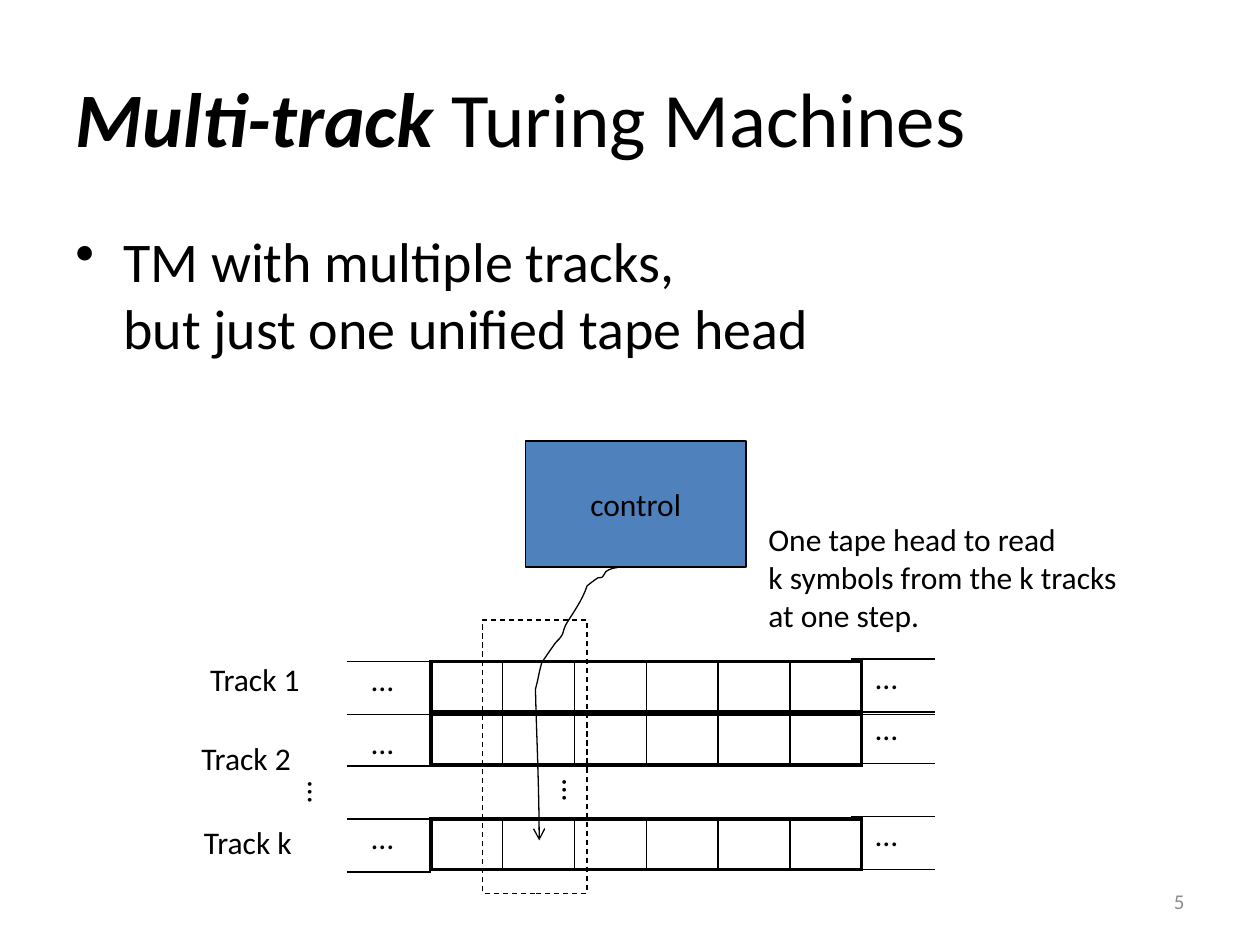
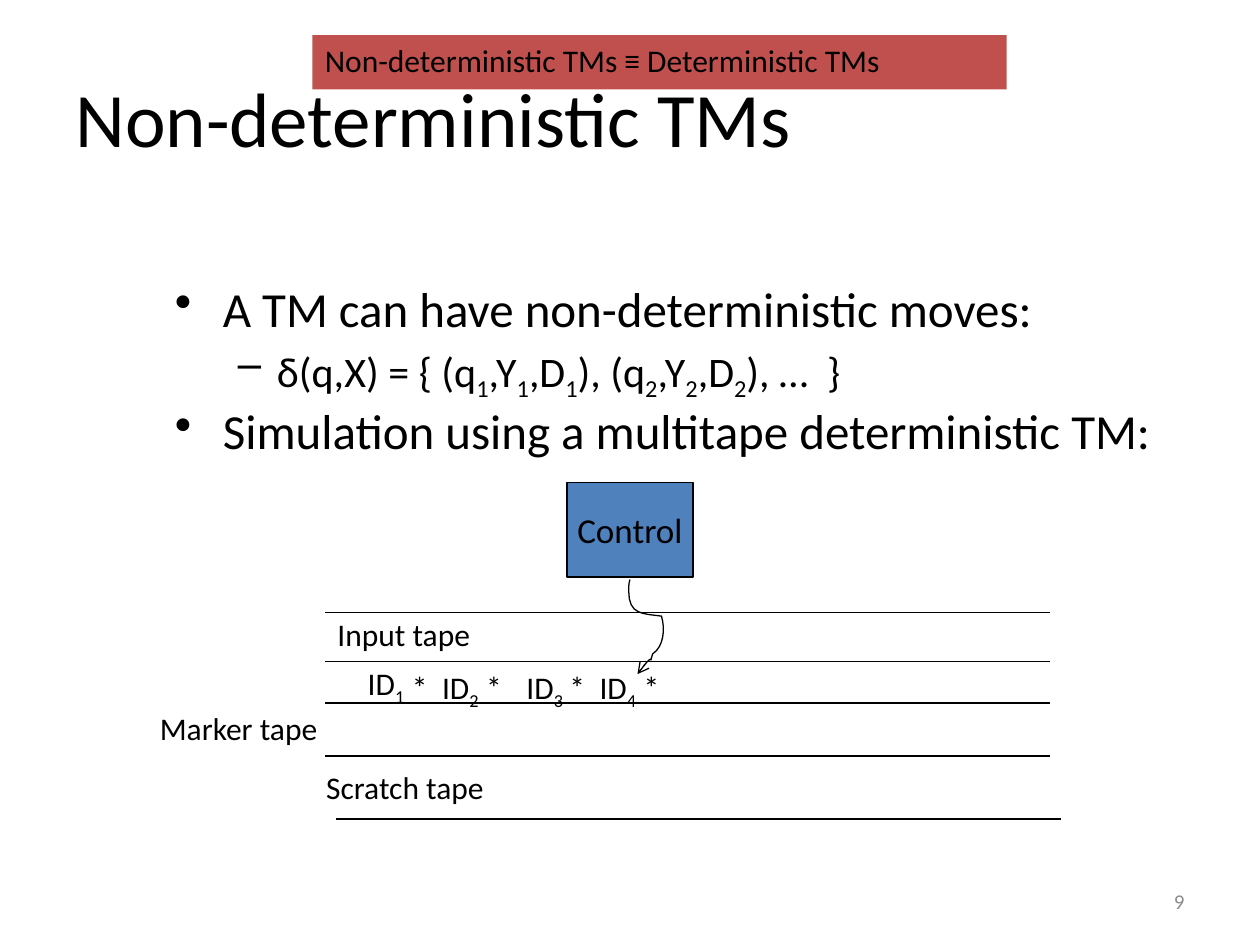
from lxml.etree import SubElement
from pptx import Presentation
from pptx.dml.color import RGBColor
from pptx.enum.dml import MSO_LINE
from pptx.enum.shapes import MSO_CONNECTOR, MSO_SHAPE
from pptx.enum.text import MSO_ANCHOR, MSO_AUTO_SIZE, PP_ALIGN
from pptx.oxml.ns import qn
from pptx.util import Inches, Pt

FONT = "Calibri"
BLACK, GRAY, BLUE, RED = "000000", "8C8C8C", "4F81BD", "C0504D"
THIN, INNER, OUTER = 0.75, 1, 2.25


def color(hex_text):
    """Turn a hex string into a colour."""
    return RGBColor.from_string(hex_text)


def inches(*lengths):
    """Convert several lengths at once."""
    return [Inches(length) for length in lengths]


def style(paragraph, size, ink=BLACK, align=PP_ALIGN.LEFT):
    """Set the font and alignment of a paragraph."""
    paragraph.alignment = align
    paragraph.font.name = FONT
    paragraph.font.size = Pt(size)
    paragraph.font.color.rgb = color(ink)


def write(paragraph, text):
    """Write text in which _ lowers the next character and a newline breaks the line."""
    for number, line in enumerate(text.split("\n")):
        if number:
            paragraph.add_line_break()
        plain, *lowered = line.split("_")
        if plain:
            paragraph.add_run().text = plain
        for piece in lowered:
            subscript = paragraph.add_run()
            subscript.text = piece[0]
            subscript._r.get_or_add_rPr().set("baseline", "-25000")
            if piece[1:]:
                paragraph.add_run().text = piece[1:]


def label(slide, box, text, size=18, rotation=0):
    """Place a text box that grows with its unwrapped text."""
    note = slide.shapes.add_textbox(*inches(*box))
    note.rotation = rotation
    frame = note.text_frame
    frame.word_wrap = False
    frame.auto_size = MSO_AUTO_SIZE.SHAPE_TO_FIT_TEXT
    write(frame.paragraphs[0], text)
    style(frame.paragraphs[0], size)


def ellipsis(slide, left, top, rotation=0):
    """Place three dots, upright when rotated."""
    label(slide, (left, top, 0.48, 0.43), "…", rotation=rotation)


def rectangle(slide, box, fill=None, outlined=True):
    """Draw a flat rectangle."""
    panel = slide.shapes.add_shape(MSO_SHAPE.RECTANGLE, *inches(*box))
    panel.shadow.inherit = False
    if fill:
        panel.fill.solid()
        panel.fill.fore_color.rgb = color(fill)
    else:
        panel.fill.background()
    if outlined:
        panel.line.color.rgb = color(BLACK)
        panel.line.width = Pt(THIN)
    else:
        panel.line.fill.background()
    return panel


def control_unit(slide, box, text, size):
    """Draw the blue control box with its centred name."""
    frame = rectangle(slide, box, BLUE).text_frame
    frame.word_wrap = False
    frame.vertical_anchor = MSO_ANCHOR.MIDDLE
    write(frame.paragraphs[0], text)
    style(frame.paragraphs[0], size, align=PP_ALIGN.CENTER)


def rule(slide, left, top, width):
    """Draw a thin horizontal line."""
    edge = slide.shapes.add_connector(
        MSO_CONNECTOR.STRAIGHT, *inches(left, top, left + width, top))
    edge.line.color.rgb = color(BLACK)
    edge.line.width = Pt(THIN)
    SubElement(edge._element.spPr, qn("a:effectLst"))


def bezier(start, first, second, end, steps=8):
    """Return points along one cubic curve, without its start."""
    points = []
    for step in range(1, steps + 1):
        t = step / steps
        weights = ((1 - t) ** 3, 3 * t * (1 - t) ** 2, 3 * t * t * (1 - t), t ** 3)
        points.append(tuple(
            Inches(sum(w * v for w, v in zip(weights, values)))
            for values in zip(start, first, second, end)))
    return points


def tape_head(slide, start, curves):
    """Draw the winding arrow from the control to the tape."""
    builder = slide.shapes.build_freeform(*inches(*start))
    for first, second, end in curves:
        builder.add_line_segments(bezier(start, first, second, end), close=False)
        start = end
    arrow = builder.convert_to_shape()
    arrow.shadow.inherit = False
    arrow.fill.background()
    arrow.line.color.rgb = color(BLACK)
    arrow.line.width = Pt(THIN)
    SubElement(arrow.line._get_or_add_ln(), qn("a:tailEnd"), type="arrow")


def border(cell, side, width):
    """Draw one side of a table cell."""
    properties = cell._tc.get_or_add_tcPr()
    edge = SubElement(properties, qn("a:ln" + side), w=str(Pt(width)))
    fill = SubElement(edge, qn("a:solidFill"))
    SubElement(fill, qn("a:srgbClr"), val=BLACK)


def track_cells(slide, left, top, width=3.42, height=0.4, count=6):
    """Draw one track as a row of empty cells."""
    table = slide.shapes.add_table(1, count, *inches(left, top, width, height)).table
    table.first_row = table.horz_banding = False
    for index in range(count):
        table.columns[index].width = Inches(width / count)
        cell = table.cell(0, index)
        border(cell, "L", OUTER if index == 0 else INNER)
        border(cell, "R", OUTER if index == count - 1 else INNER)
        border(cell, "T", OUTER)
        border(cell, "B", OUTER)
        cell.fill.background()
        style(cell.text_frame.paragraphs[0], 18)


def track(slide, left, top, left_rules, right_rules, dots):
    """Draw a track whose edges run on at both sides."""
    track_cells(slide, left, top)
    for offset in left_rules:
        rule(slide, left - 0.67, top + offset, 0.67)
    for offset in right_rules:
        rule(slide, left + 3.33, top + offset, 0.67)
    for shift, offset in zip((-0.57, 3.43), dots):
        ellipsis(slide, left + shift, top + offset)


def title(slide, text, emphasis=""):
    """Place the slide title, its first words bold italic if given."""
    frame = slide.shapes.add_textbox(*inches(0.5, 0.3, 9, 1.25)).text_frame
    frame.word_wrap = True
    frame.vertical_anchor = MSO_ANCHOR.MIDDLE
    heading = frame.paragraphs[0]
    if emphasis:
        strong = heading.add_run()
        strong.text = emphasis
        strong.font.bold = strong.font.italic = True
    write(heading, text)
    style(heading, 44)


def page_number(slide, number):
    """Place the gray number at the bottom right."""
    frame = slide.shapes.add_textbox(*inches(7.17, 6.95, 2.33, 0.4)).text_frame
    frame.word_wrap = True
    frame.vertical_anchor = MSO_ANCHOR.MIDDLE
    write(frame.paragraphs[0], str(number))
    style(frame.paragraphs[0], 12, GRAY, PP_ALIGN.RIGHT)


def bullets(slide, box, items, spacing=1.0):
    """Place bulleted text from (level, size, text) items."""
    frame = slide.shapes.add_textbox(*inches(*box)).text_frame
    frame.word_wrap = True
    for number, (level, size, text) in enumerate(items):
        item = frame.add_paragraph() if number else frame.paragraphs[0]
        margin, hang, mark = ((0.38, 0.38, "•"), (0.81, 0.31, "–"))[level]
        item.level = level
        properties = item._p.get_or_add_pPr()
        properties.set("marL", str(Inches(margin)))
        properties.set("indent", str(-Inches(hang)))
        SubElement(properties, qn("a:buChar"), char=mark)
        item.line_spacing = spacing
        item.space_before = Pt(0.2 * size)
        write(item, text)
        style(item, size)


def track_diagram(slide, left, top):
    """Draw the control, the tracks and the head that reads them all."""
    control_unit(slide, (left + 0.75, top, 1.75, 1), "control", 18)
    track(slide, left, top + 1.75, [0], [-0.02, 0.4], (-0.06, -0.08))
    track(slide, left, top + 2.17, [0, 0.41], [0, 0.39], (0.02, -0.09))
    track(slide, left, top + 3, [0, 0.42], [-0.02, 0.4], (-0.06, -0.08))
    tape_head(slide, (left + 1.5, top + 1), [
        [(left + x, top + y) for x, y in curve] for curve in (
            ((1.46, 1.01), (1.43, 1.01), (1.4, 1.03)),
            ((1.38, 1.04), (1.38, 1.06), (1.36, 1.08)),
            ((1.35, 1.09), (1.33, 1.08), (1.32, 1.09)),
            ((1.29, 1.11), (1.24, 1.15), (1.24, 1.15)),
            ((1.2, 1.27), (1.13, 1.36), (1.07, 1.46)),
            ((1.04, 1.53), (1.06, 1.52), (1.02, 1.57)),
            ((1, 1.59), (0.98, 1.61), (0.97, 1.63)),
            ((0.94, 1.67), (0.88, 1.76), (0.88, 1.76)),
            ((0.86, 1.83), (0.85, 1.9), (0.83, 1.97)),
            ((0.84, 2.37), (0.86, 2.77), (0.86, 3.17)))])
    for name, x, y in (("1", -1.85, 1.69), ("2", -1.92, 2.32), ("k", -1.9, 2.98)):
        label(slide, (left + x, top + y, 1.13, 0.44), "Track " + name)
    ellipsis(slide, left - 1.13, top + 2.63, 90)
    label(slide, (left + 2.58, top + 0.58, 3.59, 1.11),
          "One tape head to read\nk symbols from the k tracks\nat one step.")
    reading_frame = rectangle(slide, (left + 0.41, top + 1.42, 0.83, 2.17))
    reading_frame.line.dash_style = MSO_LINE.DASH
    ellipsis(slide, left + 0.89, top + 2.61, 90)


def tape_diagram(slide, left, top):
    """Draw the control above the input, marker and scratch tapes."""
    control_unit(slide, (left + 1.92, top, 1, 0.75), "Control", 20)
    for x, y in ((0, 1.03), (0, 1.42), (0, 1.75), (0, 2.17), (0.09, 2.67)):
        rule(slide, left + x, top + y, 5.75)
    for index, (x, y) in enumerate(((0.24, 1.39), (0.83, 1.42), (1.5, 1.42), (2.08, 1.42))):
        label(slide, (left + x, top + y, 0.51, 0.4), f"ID_{index + 1}")
    for x in (0.59, 1.18, 1.84, 2.43):
        label(slide, (left + x, top + 1.42, 0.33, 0.4), "*")
    for name, x, y, width in (("Input", 0, 1, 1.27), ("Marker", -1.41, 1.75, 1.48),
                              ("Scratch", -0.09, 2.22, 1.48)):
        label(slide, (left + x, top + y, width, 0.4), name + " tape")
    tape_head(slide, (left + 2.42, top + 0.77), [
        [(left + x, top + y) for x, y in curve] for curve in (
            ((2.41, 0.8), (2.41, 0.83), (2.41, 0.86)),
            ((2.41, 1.05), (2.52, 1.04), (2.67, 1.06)),
            ((2.7, 1.16), (2.69, 1.3), (2.6, 1.36)),
            ((2.57, 1.46), (2.61, 1.36), (2.55, 1.43)),
            ((2.47, 1.52), (2.52, 1.52), (2.48, 1.52)))])


def banner(slide, box, text):
    """Place the red band that states the equivalence."""
    frame = rectangle(slide, box, RED, outlined=False).text_frame
    frame.word_wrap = False
    frame.auto_size = MSO_AUTO_SIZE.SHAPE_TO_FIT_TEXT
    frame.vertical_anchor = MSO_ANCHOR.TOP
    write(frame.paragraphs[0], text)
    style(frame.paragraphs[0], 18)


def multi_track_slide(slide):
    """Build the slide on machines with several tracks."""
    page_number(slide, 5)
    title(slide, " Turing Machines", "Multi-track")
    bullets(slide, (0.5, 1.75, 9, 4.95),
            [(0, 32, "TM with multiple tracks,\nbut just one unified tape head")])
    track_diagram(slide, 3.42, 3.5)


def non_deterministic_slide(slide):
    """Build the slide on non-deterministic machines."""
    page_number(slide, 9)
    title(slide, "Non-deterministic TMs")
    bullets(slide, (1.29, 2.21, 8.5, 1.88), [
        (0, 28, "A TM can have non-deterministic moves:"),
        (1, 24, "δ(q,X) = { (q_1,Y_1,D_1), (q_2,Y_2,D_2), …  }"),
        (0, 28, "Simulation using a multitape deterministic TM:")], 0.9)
    tape_diagram(slide, 2.58, 3.83)
    banner(slide, (2.48, 0.28, 5.51, 0.43), "Non-deterministic TMs ≡ Deterministic TMs")


deck = Presentation()
deck.slide_width, deck.slide_height = inches(10, 7.5)
for build in (multi_track_slide, non_deterministic_slide):
    build(deck.slides.add_slide(deck.slide_layouts[6]))
deck.save("out.pptx")
